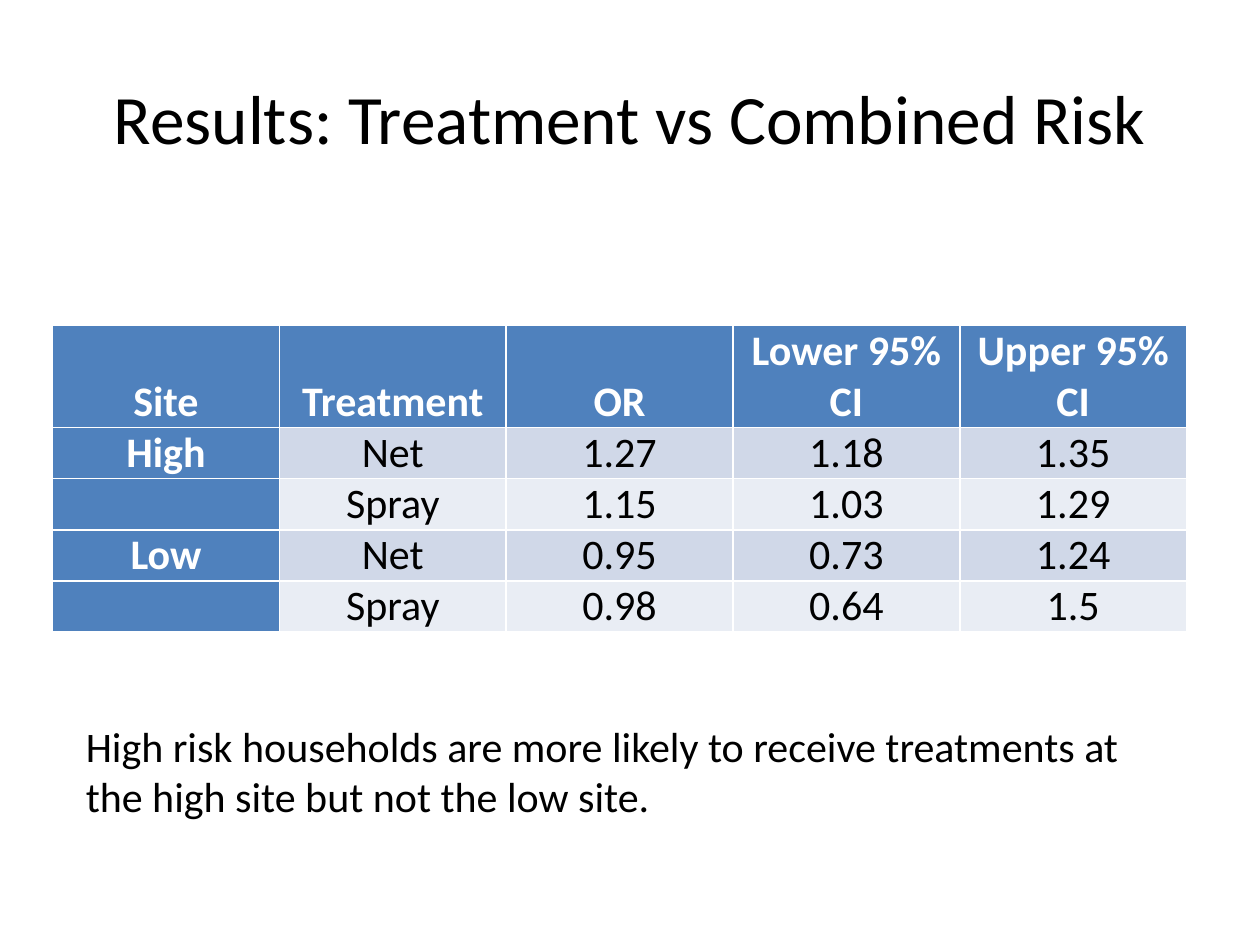
from pptx import Presentation
from pptx.dml.color import RGBColor as Rgb
from pptx.enum.text import MSO_ANCHOR as Anchor, PP_ALIGN as Align
from pptx.util import Cm, Pt

COLOURS = {"text": "000000", "light": "FFFFFF", "head": "4F81BD",
           "odd": "D0D8E8", "even": "E9EDF4"}
ROWS = [
    ["Site", "Treatment", "OR", "Lower 95% CI", "Upper 95% CI"],
    ["High", "Net", "1.27", "1.18", "1.35"],
    ["", "Spray", "1.15", "1.03", "1.29"],
    ["Low", "Net", "0.95", "0.73", "1.24"],
    ["", "Spray", "0.98", "0.64", "1.5"],
]


def apply(target, values):
    for name, value in values.items():
        setattr(target, name, value)


class SlideBuilder:
    """Hold the text style and the current page, and add elements to it."""

    def __init__(self, page, font="Calibri"):
        self.page = page
        self.font = font

    def add_span(self, para, text, size, colour="text", bold=False):
        span = para.add_run()
        span.text = text
        apply(span.font, {"name": self.font, "size": Pt(size), "bold": bold})
        span.font.color.rgb = Rgb.from_string(COLOURS[colour])

    def add_text(self, text, left, top, width, height, size,
                 align=Align.LEFT, anchor=Anchor.TOP):
        box = self.page.shapes.add_textbox(Cm(left), Cm(top), Cm(width), Cm(height))
        apply(box.text_frame, {"word_wrap": True, "vertical_anchor": anchor})
        para = box.text_frame.paragraphs[0]
        para.alignment = align
        self.add_span(para, text, size)

    def fill_cell(self, cell, text, fill, anchor, colour, bold):
        apply(cell, {"margin_left": Cm(0.18), "margin_right": Cm(0.18),
                     "margin_top": 0, "margin_bottom": 0,
                     "vertical_anchor": anchor})
        cell.fill.solid()
        cell.fill.fore_color.rgb = Rgb.from_string(COLOURS[fill])
        if text:
            para = cell.text_frame.paragraphs[0]
            apply(para, {"alignment": Align.CENTER, "space_before": Pt(1.8),
                         "space_after": Pt(1.8)})
            self.add_span(para, text, 24, colour, bold)

    def add_table(self, rows, left, top, width, row_height):
        lines = len(rows) + 1
        table = self.page.shapes.add_table(
            len(rows), len(rows[0]), Cm(left), Cm(top), Cm(width),
            Cm(row_height * lines)).table
        table.first_col = True
        for column in table.columns:
            column.width = Cm(width / len(rows[0]))
        for i, values in enumerate(rows):
            table.rows[i].height = Cm(row_height * (1 if i else 2))
            for j, value in enumerate(values):
                head = i == 0 or j == 0
                fill = "head" if head else "odd" if i % 2 else "even"
                self.fill_cell(table.cell(i, j), value, fill,
                               Anchor.TOP if i else Anchor.BOTTOM,
                               "light" if head else "text", head)


def main():
    deck = Presentation()
    apply(deck, {"slide_width": Cm(25.4), "slide_height": Cm(19.05)})
    builder = SlideBuilder(deck.slides.add_slide(deck.slide_layouts[6]))
    builder.add_text("Results: Treatment vs Combined Risk", 1.27, 0.76, 22.86, 3.18,
                     39.6, Align.CENTER, Anchor.MIDDLE)
    builder.add_table(ROWS, 1.06, 6.56, 22.86, 1.03)
    builder.add_text("High risk households are more likely to receive treatments at "
                     "the high site but not the low site.",
                     1.48, 14.4, 22.43, 2.31, 24)
    deck.save("out.pptx")


if __name__ == "__main__":
    main()
